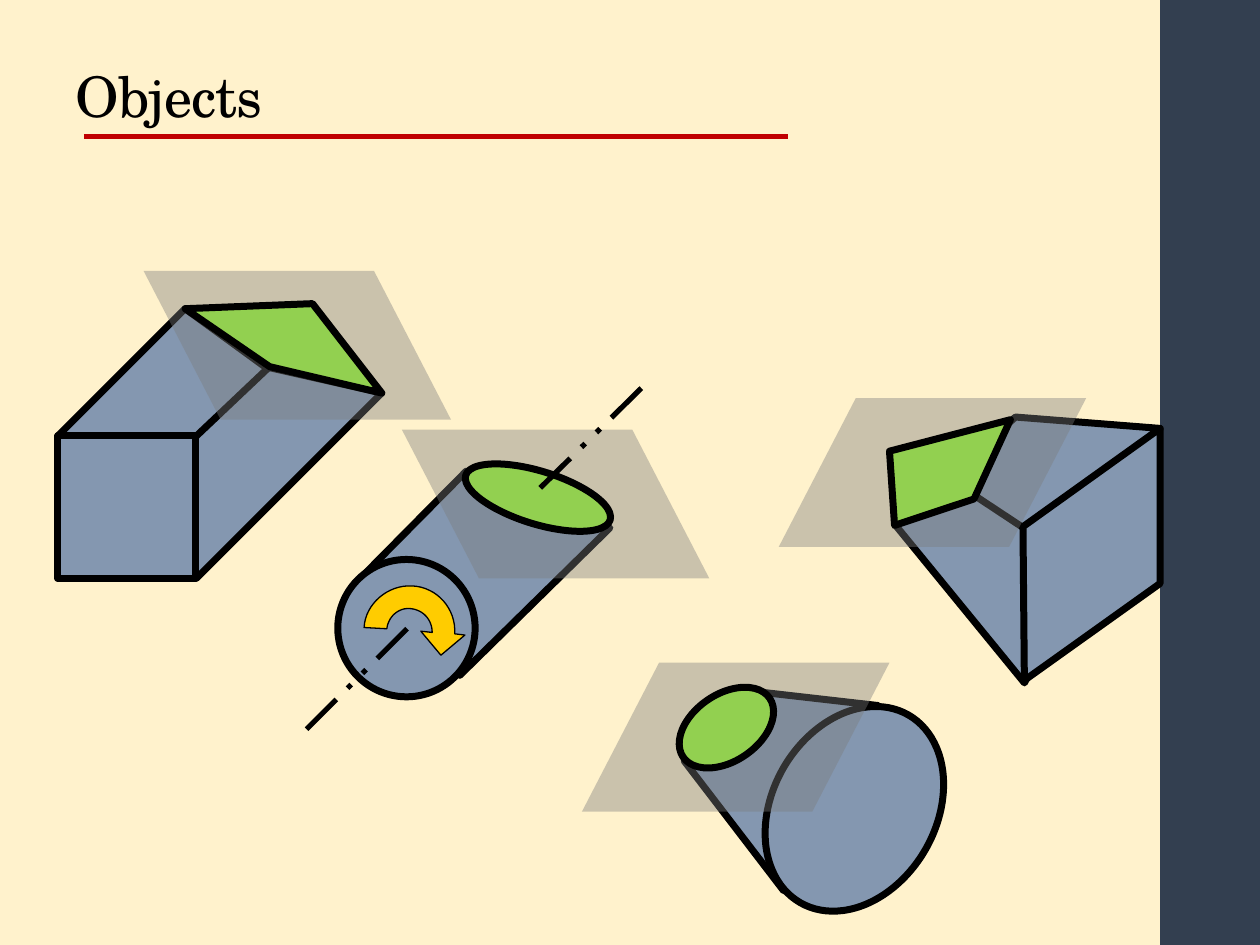
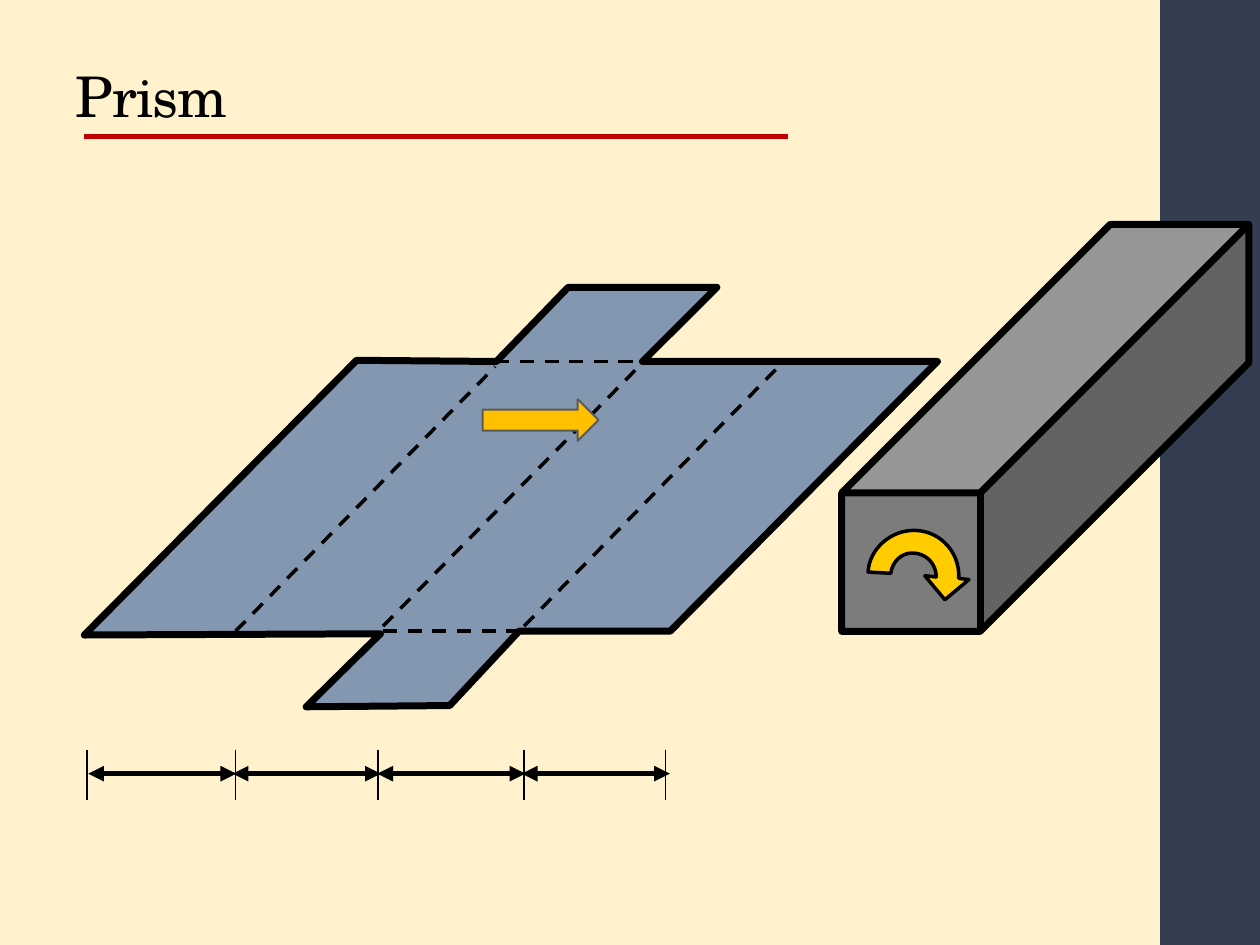
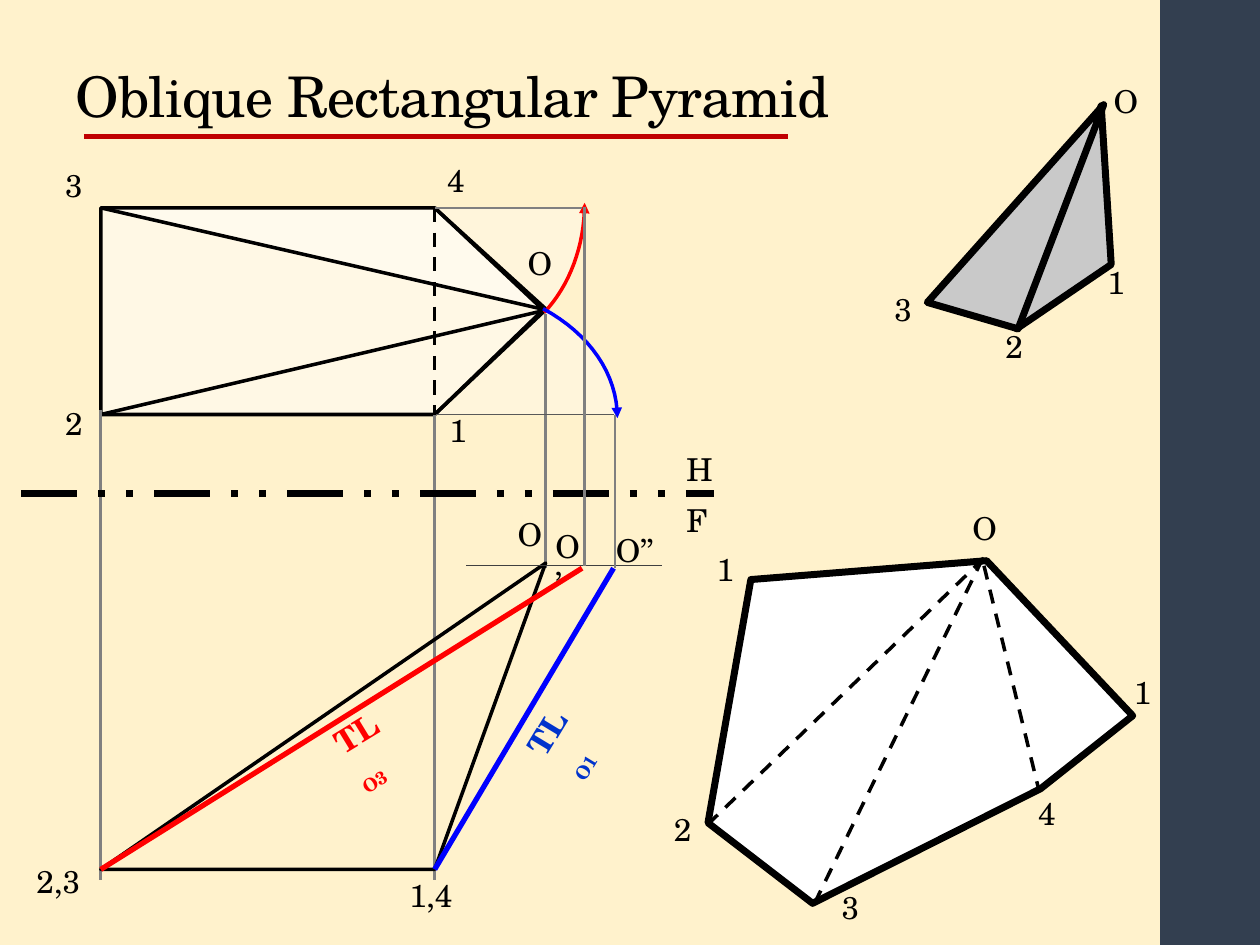
from lxml import etree
from pptx import Presentation
from pptx.dml.color import RGBColor
from pptx.enum import dml, shapes, text
from pptx.oxml import ns
from pptx.util import Pt

CREAM = RGBColor(0xFF, 0xF2, 0xCC)
NAVY = RGBColor(0x33, 0x3F, 0x50)
CRIMSON = RGBColor(0xC0, 0x00, 0x00)
BLACK = RGBColor(0x00, 0x00, 0x00)
WHITE = RGBColor(0xFF, 0xFF, 0xFF)
STEEL = RGBColor(0x84, 0x97, 0xB0)
GREEN = RGBColor(0x92, 0xD0, 0x50)
GREY = RGBColor(0x7C, 0x7C, 0x7C)
PALE_GREY = RGBColor(0xC9, 0xC9, 0xC9)
MID_GREY = RGBColor(0x80, 0x80, 0x80)
DARK_GREY = RGBColor(0x59, 0x59, 0x59)
CHARCOAL = RGBColor(0x40, 0x40, 0x40)
YELLOW = RGBColor(0xFF, 0xCC, 0x00)
AMBER = RGBColor(0xFF, 0xC0, 0x00)
RED = RGBColor(0xFF, 0x00, 0x00)
BLUE = RGBColor(0x00, 0x00, 0xFF)
LABEL_BLUE = RGBColor(0x00, 0x33, 0xCC)
FONT = "TeX Gyre Schola"
DASH = dml.MSO_LINE.DASH
AXIS = dml.MSO_LINE.DASH_DOT_DOT
KIND = shapes.MSO_SHAPE


def style(shape, fill=None, line=BLACK, width=4, dash=None, alpha=None, arrows=()):
    """Format a shape or connector; a line of None means no outline."""
    properties = shape.element.spPr
    if hasattr(shape, "fill"):
        if fill is None:
            shape.fill.background()
        else:
            shape.fill.solid()
            shape.fill.fore_color.rgb = fill
            if alpha:
                color = properties.find(ns.qn("a:solidFill"))[0]
                etree.SubElement(color, ns.qn("a:alpha"), val=str(alpha * 1000))
    if line is None:
        shape.line.fill.background()
    else:
        shape.line.color.rgb = line
        shape.line.width = Pt(width)
        if dash:
            shape.line.dash_style = dash
        for end in arrows:
            etree.SubElement(properties.find(ns.qn("a:ln")), ns.qn(f"a:{end}"), type="triangle")
    etree.SubElement(properties, ns.qn("a:effectLst"))
    return shape


def draw(page, points, closed=True, **look):
    """Two points make a connector; a point of six numbers is a cubic curve."""
    if len(points) == 2 and len(points[1]) == 2:
        ends = [Pt(value) for point in points for value in point]
        return style(page.shapes.add_connector(shapes.MSO_CONNECTOR.STRAIGHT, *ends), **look)
    vertices = [points[0]]
    for point in points[1:]:
        if len(point) == 2:
            vertices.append(point)
            continue
        controls = [vertices[-1], point[:2], point[2:4], point[4:]]
        for step in range(1, 17):
            t = step / 16
            weights = ((1 - t) ** 3, 3 * t * (1 - t) ** 2, 3 * t * t * (1 - t), t ** 3)
            vertices.append(tuple(sum(w * c[axis] for w, c in zip(weights, controls))
                                  for axis in (0, 1)))
    vertices = [(Pt(x), Pt(y)) for x, y in vertices]
    builder = page.shapes.build_freeform(*vertices[0], scale=1.0)
    builder.add_line_segments(vertices[1:], close=closed)
    return style(builder.convert_to_shape(), **look)


# Template: background, title place, side band and rule
deck = Presentation()
deck.slide_width, deck.slide_height = Pt(720), Pt(540)
background = deck.slide_master.background.fill
background.solid()
background.fore_color.rgb = CREAM
layout = deck.slide_layouts[5]
holder = layout.placeholders[0]
holder.left, holder.top, holder.width, holder.height = Pt(36), Pt(5.8), Pt(572.4), Pt(72)

pages = []
for heading in ("Objects", "Prism", "Oblique Rectangular Pyramid"):
    page = deck.slides.add_slide(layout)
    frame = page.shapes.title.text_frame
    frame.vertical_anchor = text.MSO_ANCHOR.BOTTOM
    para = frame.paragraphs[0]
    para.alignment = text.PP_ALIGN.LEFT
    para.line_spacing = 0.9
    span = para.add_run()
    span.text = heading
    span.font.name, span.font.size = FONT, Pt(32)
    span.font.color.rgb = BLACK
    span._r.get_or_add_rPr().set("spc", "-50")
    pages.append(page)
objects, prism, pyramid = pages

band = style(objects.shapes.add_shape(KIND.RECTANGLE, Pt(663), 0, Pt(57.6), Pt(540)), NAVY, None)
rule = draw(objects, [(48, 78), (450, 78)], line=CRIMSON, width=3)
for shared in (band, rule):
    layout.shapes.element.append(shared.element)

# Rotation arrow, shown on two slides: its outline from its own corner
TURN = [(38.9, 26.6), (38.9, 19.4, 33.8, 13.7, 26.6, 13), (19.4, 12.2, 13.7, 18, 13, 24.5),
        (0, 23.8), (0.7, 10.1, 13.7, -0.7, 27.4, 0), (41.8, 0.7, 52.6, 13, 51.8, 27.4),
        (57.6, 28.1), (43.9, 39.6), (32.4, 25.9)]
turns = []
for left, top in ((208.1, 334.8), (496.1, 303.1)):
    turns.append([tuple(value + (left, top)[i % 2] for i, value in enumerate(point))
                  for point in TURN])

# Slide 1: four solids, each cut by a plane, listed from back to front
solids = [
    # Cylinder
    ("outline", [(203, 333.4), (266.4, 269.3), (348.5, 301.7), (262.8, 385.9)], STEEL),
    ("ellipse", (193, 319.7, 78.5, 78.5, 0), STEEL),
    ("turn", turns[0], YELLOW),
    ("axis", [(232.6, 359.3), (172.1, 419.8)], None),
    # Right prism
    ("outline", [(663, 244.8), (580.3, 238.3), (511.2, 299.5), (585.4, 390.2)], STEEL),
    ("outline", [(583.9, 301), (541.4, 272.9)], None),
    ("outline", [(663, 244.8), (584.6, 301), (585.4, 388.8), (663, 333.4)], STEEL),
    # Cone
    ("outline", [(501.8, 403.2), (432.7, 395.3), (391, 434.9), (447.8, 509)], STEEL),
    ("ellipse", (441.4, 400.3, 93.6, 123.8, 30), STEEL),
    # Cutting planes and cut faces
    ("plane", (332.6, 378.7, False), GREY),
    ("plane", (229.7, 245.5, True), GREY),
    ("ellipse", (264.2, 269.3, 86.4, 30.2, 17.2), GREEN),
    ("ellipse", (385.2, 396.7, 59.8, 38.2, 325.8), GREEN),
    ("plane", (445, 227.5, False), GREY),
    ("outline", [(511.2, 300.2), (556.6, 285.1), (577.4, 239.8), (508.3, 257.8)], GREEN),
    ("axis", [(366.5, 221.8), (305.3, 282.2)], None),
    # Left prism
    ("outline", [(33.1, 249.1), (105.8, 176.4), (151.2, 209.5), (218.2, 224.6),
                 (112.3, 330.5)], STEEL),
    ("rectangle", (33.1, 249.1, 78.8, 81.4, 0), STEEL),
    ("outline", [(112.3, 249.1), (154.1, 209.5)], None),
    ("plane", (82.1, 154.8, True), GREY),
    ("outline", [(105.8, 176.4), (154.1, 209.5), (218.2, 224.6), (178.6, 173.5)], GREEN),
]
for kind, place, fill in solids:
    if kind == "outline":
        draw(objects, place, fill=fill)
    elif kind == "turn":
        draw(objects, place, fill=fill, width=0.75)
    elif kind == "axis":
        draw(objects, place, width=3, dash=AXIS)
    elif kind == "plane":
        left, top, flipped = place
        plane = objects.shapes.add_shape(KIND.PARALLELOGRAM, Pt(left), Pt(top), Pt(175.7), Pt(85))
        plane.adjustments[0] = 0.518
        if flipped:
            plane.element.spPr.xfrm.set("flipH", "1")
        style(plane, fill, None, alpha=40)
    else:
        preset = KIND.OVAL if kind == "ellipse" else KIND.RECTANGLE
        face = objects.shapes.add_shape(preset, *[Pt(value) for value in place[:4]])
        face.rotation = place[4]
        style(face, fill)

# Slide 2: unfolded net with fold lines
draw(prism, [(324.7, 164.2), (409.7, 164.2), (367.2, 206.6), (535.7, 206.6), (383, 360.7),
             (296.6, 360.7), (257, 403.2), (175, 403.9), (217.4, 362.2), (48.2, 362.9),
             (203.8, 205.9), (283.7, 206.6)], fill=STEEL)
for fold in ([(134.6, 360.7), (283, 209.5)], [(218.9, 357.8), (367.9, 206.6)],
             [(299.5, 357.8), (447.8, 206.6)], [(283, 206.6), (367.2, 206.6)],
             [(218.9, 360.7), (303.8, 360.7)]):
    draw(prism, fold, width=2, dash=DASH)

# Prism with its turn and roll arrows
cube = prism.shapes.add_shape(KIND.CUBE, Pt(481), Pt(128.2), Pt(232.6), Pt(232.6))
cube.adjustments[0] = 0.66
style(cube, GREY)
draw(prism, turns[1], fill=YELLOW, width=2)
roll = prism.shapes.add_shape(KIND.RIGHT_ARROW, Pt(275.8), Pt(228.2), Pt(66.2), Pt(23.8))
style(roll, AMBER, DARK_GREY, 1.1)

# Dimension line under the net
for side in range(4):
    start = 50.4 + 82.6 * side
    draw(prism, [(start, 442.1), (start + 84.6, 442.1)], width=3, arrows=("headEnd", "tailEnd"))
for x in (49.7, 134.6, 216, 299.5, 380.2):
    draw(prism, [(x, 428.4), (x, 457.2)], width=0.75)

# Slide 3: top view
draw(pyramid, [(57.6, 118.8), (332.6, 118.8), (334.1, 137.5, 331.2, 150.5, 311.8, 176.4)],
     fill=WHITE, line=None, alpha=30)
draw(pyramid, [(248.4, 236.9), (308.9, 176.4), (324, 180, 343.4, 194.4, 354.2, 236.9)],
     fill=WHITE, line=None, alpha=30)
draw(pyramid, [(57.6, 118.8), (57.6, 236.9), (248.4, 236.9), (310.3, 177.1), (248.4, 118.8)],
     fill=WHITE, width=2, alpha=50)
for edges in ([(248.4, 236.9), (311.8, 177.1), (57.6, 118.8)],
              [(57.6, 236.9), (312.5, 177.1), (248.4, 118.8)]):
    draw(pyramid, edges, closed=False, width=2)

# Small solid view
for face in ([(629.3, 60.5), (635, 151.2), (581, 187.9)],
             [(630.7, 59.8), (529.9, 172.8), (581.8, 187.9)]):
    draw(pyramid, face, fill=PALE_GREY)

# Projection lines, fold line between the views, and front view
for x, top, bottom in ((57.6, 234, 502.6), (311.8, 179.3, 324.7), (248.4, 234, 502.6)):
    draw(pyramid, [(x, top), (x, bottom)], line=MID_GREY, width=1.5)
draw(pyramid, [(12.2, 282.2), (408.2, 282.2)], dash=AXIS)
draw(pyramid, [(248.4, 236.9), (350.6, 236.9)], line=DARK_GREY, width=0.75)
draw(pyramid, [(311, 178.6), (325.4, 163.4, 334.1, 140.4, 334.1, 115.9)],
     closed=False, line=RED, width=2, arrows=("tailEnd",))
draw(pyramid, [(248.4, 118.8), (248.4, 236.9)], width=2, dash=DASH)
draw(pyramid, [(57.6, 496.8), (248.4, 496.8), (311.8, 321.8)], width=2)
draw(pyramid, [(310.3, 176.4), (337, 190.8, 352.8, 213.8, 352.8, 239)],
     closed=False, line=BLUE, width=2, arrows=("tailEnd",))
draw(pyramid, [(266.4, 323.3), (378, 323.3)], line=CHARCOAL, width=0.75)
for x, top, bottom in ((334.1, 118.1, 323.3), (351.4, 236.9, 324.7)):
    draw(pyramid, [(x, top), (x, bottom)], line=MID_GREY, width=1.5)
draw(pyramid, [(57.6, 496.8), (332.6, 324.7)], line=RED, width=3)
draw(pyramid, [(248.4, 496.8), (350.6, 324.7)], line=BLUE, width=3)
draw(pyramid, [(248.4, 118.8), (332.6, 118.8)], line=MID_GREY, width=0.75)

# Development
draw(pyramid, [(404.6, 470.2), (429.1, 331.2), (563.8, 320.4), (647.3, 409),
               (594.7, 450.7), (464.4, 516.2)], fill=WHITE)
for fold in ([(562.3, 319), (405.4, 470.2)], [(561.6, 319), (465.8, 515.5)],
             [(562.3, 323.3), (593.3, 450)]):
    draw(pyramid, fold, width=2, dash=DASH)

# Point labels: wording, left, top, width
labels = [
    ("3", 504, 162, 28), ("2", 567.4, 183.6, 28), ("1", 625.7, 146.9, 28), ("O", 629.3, 43.2, 26.6),
    ("1", 249.8, 231.1, 28), ("2", 30.2, 227.5, 28), ("3", 30.2, 91.4, 28), ("4", 248.4, 88.6, 28),
    ("O", 294.5, 136.1, 26.6), ("2,3", 13.7, 488.9, 46.8), ("1,4", 226.8, 496.8, 46.8),
    ("2", 378, 459.4, 28), ("3", 473.8, 504, 28), ("1", 640.8, 380.9, 28), ("4", 586.1, 450, 28),
    ("1", 402.5, 311, 28), ("O", 548.6, 287.3, 26.6), ("O", 288.7, 290.9, 26.6),
    ("H", 385.2, 253.4, 28.8), ("F", 385.2, 283, 25.9),
    ("O’", 310.3, 297.4, 31), ("O’’", 344.9, 300.2, 36),
]
notes = [(wording, "", left, top, width, 0, BLACK) for wording, left, top, width in labels]
notes += [("TL ", "O3", 182.9, 401.8, 49.7, 328.6, RED),
          ("TL ", "O1", 290.2, 400.3, 49.7, 301.2, LABEL_BLUE)]
for wording, subscript, left, top, width, angle, color in notes:
    box = pyramid.shapes.add_textbox(Pt(left), Pt(top), Pt(width), Pt(28.8))
    box.rotation = angle
    box.text_frame.word_wrap = True
    para = box.text_frame.paragraphs[0]
    for part in filter(None, (wording, subscript)):
        span = para.add_run()
        span.text = part
        span.font.name, span.font.size = FONT, Pt(18)
        span.font.color.rgb = color
        if subscript:
            span.font.bold = True
        if part == subscript:
            span._r.get_or_add_rPr().set("baseline", "-25000")

deck.save("out.pptx")
